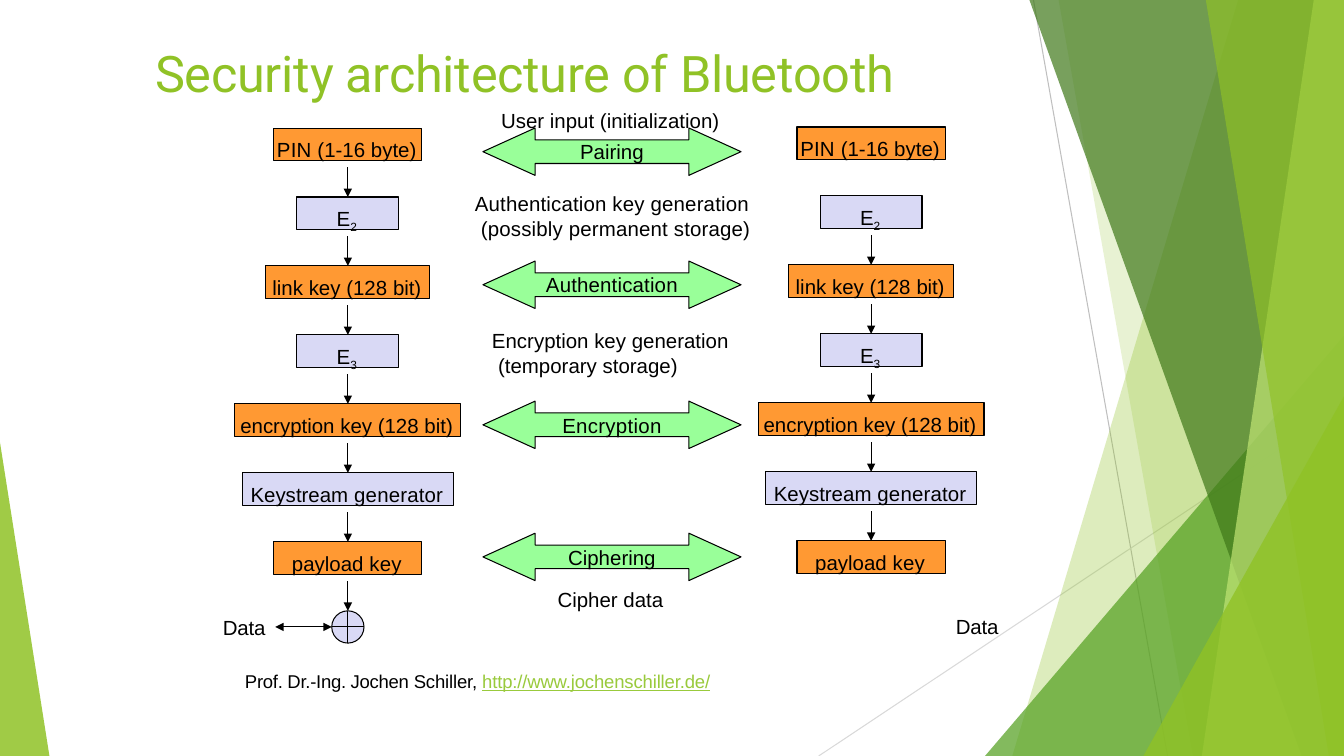
from lxml import etree
from pptx import Presentation
from pptx.dml.color import RGBColor
from pptx.enum.shapes import MSO_CONNECTOR as Link, MSO_SHAPE as Form
from pptx.enum.text import MSO_ANCHOR as Anchor, PP_ALIGN as Align
from pptx.oxml.ns import qn
from pptx.util import Inches, Pt

# Content: runs are (text, extras), extras holding size, color, gap, base, line
WIDE, HIGH = 13.33, 7.5
ORANGE, LILAC, MINT = "FF9933", "D9D9F5", "99FF99"
BLACK, GREEN, LIME = "000000", "90C226", "99CA3C"

TITLE = [("Security architecture of Bluetooth",
          dict(size=36, font="Roboto", color=GREEN, gap=-0.2))]
STEPS = [  # width, fill, runs
    (1.47, ORANGE, [("PIN ", dict(gap=0.1)), ("(1-16 byte)", {})]),
    (1.01, LILAC, [("E", {}), ("2", dict(base=-23))]),
    (1.63, ORANGE, [("link key (128 ", {}), ("bit)", dict(gap=-0.1))]),
    (1.01, LILAC, [("E", {}), ("3", dict(base=-23))]),
    (2.24, ORANGE, [("encryption key (128 bit)", {})]),
    (2.09, LILAC, [("Keystream ", {}), ("generator", dict(gap=0.1))]),
    (1.47, ORANGE, [("payload ", {}), ("key", dict(gap=0.1))]),
]
SIDES = [(3.45, 1.27, 0), (8.64, 1.26, 1)]  # centre, top, first arrow
PHASES = [("Pairing", 1.27, 0), ("Authentication", 2.59, 0.1),
          ("Encryption", 3.98, 0.2), ("Ciphering", 5.29, 0)]
NOTES = [  # left, top, letter gap, lines as (indent, text)
    (4.97, 1.07, 0, [(0, "User input (initialization)")]),
    (4.71, 1.89, 0.1, [(0, "Authentication key generation"),
                       (0.06, "(possibly permanent storage)")]),
    (4.88, 3.25, 0, [(0, "Encryption key generation"),
                     (0.06, "(temporary storage)")]),
    (5.53, 5.82, 0, [(0, "Cipher data")]),
    (2.21, 6.1, -0.1, [(0, "Data")]),
    (9.48, 6.09, -0.1, [(0, "Data")]),
]
CREDIT = [("Prof. Dr.-Ing. Jochen ", dict(size=13.2, gap=-0.2)),
          ("Schiller, ", dict(size=13.2, gap=-0.1)),
          ("http://www.jochenschiller.de/",
           dict(size=13.2, gap=-0.1, color=LIME, line=True))]
RAYS = [((10.25, 0), (11.58, HIGH), "BFBFBF"),
        ((WIDE, 4.03), (8.12, HIGH), "D9D9D9")]
FACETS = [  # bands: (top x, foot x); wedges: (left, top, width, apex)
    ((12.28, 10.04), GREEN, 30),
    ((10.5, 11.83), GREEN, 20),
    ((9.77, 3.33, 3.56, 1), "54A021", 72),
    ((10.21, 12.91), "3F7819", 70),
    ((13.03, 11.92), "C0E474", 70),
    ((11.96, 13.18), GREEN, 65),
    ((11.34, 3.93, 1.99, 1), GREEN, 80),
    ((0, 4.39, 0.49, 0), GREEN, 85),
]

deck = Presentation()
deck.slide_width, deck.slide_height = Inches(WIDE), Inches(HIGH)
slide = deck.slides.add_slide(deck.slide_layouts[6])
shapes = slide.shapes


def hue(code):
    return RGBColor.from_string(code)


def paint(shape, fill, edge=None, alpha=100):
    shape.shadow.inherit = False
    shape.fill.solid()
    shape.fill.fore_color.rgb = hue(fill)
    if alpha < 100:
        tint = shape._element.spPr.find(qn("a:solidFill"))[0]
        etree.SubElement(tint, qn("a:alpha")).set("val", str(alpha * 1000))
    if edge:
        shape.line.color.rgb = hue(edge)
        shape.line.width = Pt(0.75)
    else:
        shape.line.fill.background()


def write(para, runs):
    for text, more in runs:
        run = para.add_run()
        run.text = text
        font = run.font
        font.size = Pt(more.get("size", 14.6))
        font.name = more.get("font", "Arial")
        font.color.rgb = hue(more.get("color", BLACK))
        if more.get("line"):
            font.underline = True
        props = run._r.get_or_add_rPr()
        if more.get("gap"):
            props.set("spc", str(round(more["gap"] * 100)))
        if more.get("base"):
            props.set("baseline", str(more["base"] * 1000))


def frame(shape, left=0, top=0, right=0, anchor=Anchor.TOP):
    body = shape.text_frame
    body.margin_left, body.margin_top = Inches(left), Inches(top)
    body.margin_right, body.margin_bottom = Inches(right), 0
    body.vertical_anchor = anchor
    return body


def label(x, y, w, h):
    body = frame(shapes.add_textbox(*map(Inches, (x, y, w, h))))
    body.word_wrap = True
    return body


def form(kind, x, y, w, h, fill, edge=None, alpha=100):
    shape = shapes.add_shape(kind, *map(Inches, (x, y, w, h)))
    paint(shape, fill, edge, alpha)
    return shape


def link(start, end, color=BLACK, ends=()):
    line = shapes.add_connector(Link.STRAIGHT, *map(Inches, start + end))
    line.line.color.rgb = hue(color)
    line.line.width = Pt(0.75)
    for end in ends:
        tip = etree.SubElement(line.line._get_or_add_ln(), qn(end))
        tip.set("type", "triangle")
    etree.SubElement(line._element.spPr, qn("a:effectLst"))


# Backdrop
for start, end, color in RAYS:
    link(start, end, color)
for place, color, alpha in FACETS:
    if len(place) == 2:
        top, foot = place
        pen = shapes.build_freeform(Inches(top), 0, 1.0)
        pen.add_line_segments([(Inches(x), Inches(y)) for x, y in
                               ((WIDE, 0), (WIDE, HIGH), (foot, HIGH))])
        paint(pen.convert_to_shape(), color, alpha=alpha)
    else:
        x, y, w, apex = place
        wedge = form(Form.ISOSCELES_TRIANGLE, x, y, w, HIGH - y, color,
                     alpha=alpha)
        wedge.adjustments[0] = apex

# Title
write(label(1.54, 0.42, 8.95, 0.62).paragraphs[0], TITLE)

# Key chains on both sides
PITCH, TALL, SPACE = 4.79 / 7, 0.32, 0.07
for mid, top, first in SIDES:
    for row, (w, fill, runs) in enumerate(STEPS):
        y = top + row * PITCH
        box = form(Form.RECTANGLE, mid - w / 2, y, w, TALL, fill, BLACK)
        body = frame(box, top=0.09, right=0.02)
        body.word_wrap = False
        body.paragraphs[0].alignment = Align.CENTER
        write(body.paragraphs[0], runs)
        if first <= row < len(STEPS) - first:
            link((mid, y + TALL + SPACE), (mid, y + PITCH),
                 ends=["a:tailEnd"])

# Cipher node with its data arrow
mid, top, _ = SIDES[0]
y = top + len(STEPS) * PITCH
form(Form.FLOWCHART_OR, mid - TALL / 2, y, TALL, TALL, LILAC, BLACK)
link((2.73, y + TALL / 2), (mid - TALL / 2, y + TALL / 2),
     ends=["a:headEnd", "a:tailEnd"])

# Phases between the two sides
for text, y, gap in PHASES:
    arrow = form(Form.LEFT_RIGHT_ARROW, 4.79, y, 2.56, 0.47, MINT, BLACK)
    arrow.adjustments[0], arrow.adjustments[1] = 0.5, 1.1
    body = frame(arrow, anchor=Anchor.MIDDLE)
    body.word_wrap = False
    body.paragraphs[0].alignment = Align.CENTER
    write(body.paragraphs[0], [(text, dict(gap=gap))])

# Notes and credit
for x, y, gap, lines in NOTES:
    body = label(x, y, 2.9 if len(lines[0][1]) > 4 else 0.6,
                 0.25 * len(lines))
    for n, (indent, text) in enumerate(lines):
        para = body.add_paragraph() if n else body.paragraphs[0]
        para.line_spacing = 1.02
        para._p.get_or_add_pPr().set("marL", str(Inches(indent)))
        write(para, [(text, dict(gap=gap))])
write(label(2.43, 6.65, 4.9, 0.22).paragraphs[0], CREDIT)

deck.save("out.pptx")
